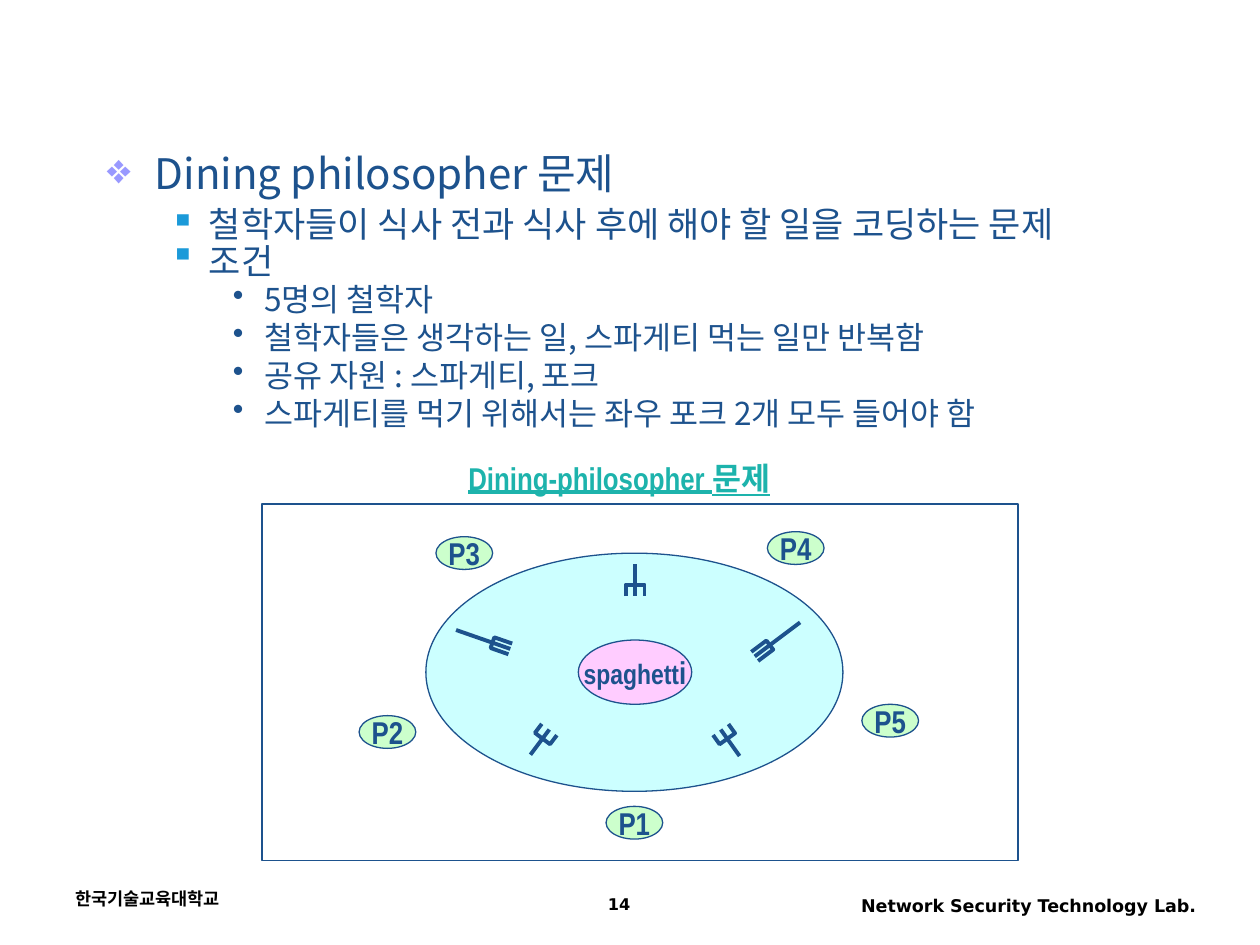
import math
from dataclasses import dataclass

import pptx
import pptx.dml.color
import pptx.enum.shapes
import pptx.enum.text
import pptx.oxml
import pptx.oxml.ns
import pptx.util

SHAPE = pptx.enum.shapes.MSO_SHAPE
ALIGN = pptx.enum.text.PP_ALIGN
ANCHOR = pptx.enum.text.MSO_ANCHOR


@dataclass(frozen=True)
class Theme:
    ink: str = "1D528D"
    black: str = "000000"
    paper: str = "FFFFFF"
    table: str = "CCFFFF"
    seat: str = "CCFFCC"
    plate: str = "FFCCFF"
    caption: str = "1DB3AC"
    body_font: str = "Noto Sans CJK KR"
    label_font: str = "Arial Narrow"
    footer_font: str = "DejaVu Sans"
    label_size: float = 18
    plate_size: float = 16
    footer_size: float = 10
    page_size: float = 9.2
    outline: float = 0.75
    fork_line: float = 2.25


@dataclass(frozen=True)
class Level:
    size: float
    bullet: str
    bullet_color: str
    indent: float
    hanging: float
    before: float


LEVELS = [
    Level(24, "❖", "9999FF", 0.38, 0.38, 6),
    Level(20, "▪", "1B9AD9", 0.81, 0.31, 5),
    Level(18, "•", "1D528D", 1.25, 0.25, 4.5),
]


class Slide:
    """Draws on a page divided into 10 columns and 7.5 rows."""

    COLUMNS, ROWS = 10, 7.5

    def __init__(self, deck, theme):
        self.theme = theme
        self.page = deck.slides.add_slide(deck.slide_layouts[6])
        self.column = deck.slide_width / self.COLUMNS
        self.row = deck.slide_height / self.ROWS

    def place(self, left, top, *size):
        values = (left, top, *size)
        return [round(value * (self.row if index % 2 else self.column))
                for index, value in enumerate(values)]

    def color(self, name):
        return pptx.dml.color.RGBColor.from_string(name)

    def style(self, span, size, font, color, bold=False, underline=None):
        span.font.size = pptx.util.Pt(size)
        span.font.name = font
        span.font.bold = bold
        span.font.underline = underline
        span.font.color.rgb = self.color(color)
        east = pptx.oxml.parse_xml(
            f'<a:ea {pptx.oxml.ns.nsdecls("a")} typeface="{self.theme.body_font}"/>')
        span.font._element.find(pptx.oxml.ns.qn("a:latin")).addnext(east)

    def footer(self, text, area, align, size):
        box = self.page.shapes.add_textbox(*self.place(*area))
        box.text_frame.word_wrap = True
        box.text_frame.text = text
        para = box.text_frame.paragraphs[0]
        para.alignment = align
        self.style(para.runs[0], size, self.theme.footer_font, self.theme.black, True)

    def outline(self, items, area):
        frame = self.page.shapes.add_textbox(*self.place(*area)).text_frame
        frame.word_wrap = True
        frame.text = "\n".join(text for _, _, text in items)
        for index, (para, (depth, spacing, _)) in enumerate(zip(frame.paragraphs, items)):
            level = LEVELS[depth]
            para.level = depth
            self.bullet(para, level)
            para.line_spacing = spacing
            if index:
                para.space_before = pptx.util.Pt(level.before)
            self.style(para.runs[0], level.size, self.theme.body_font, self.theme.ink)

    def bullet(self, para, level):
        properties = para._p.get_or_add_pPr()
        properties.set("marL", str(pptx.util.Inches(level.indent)))
        properties.set("indent", str(-pptx.util.Inches(level.hanging)))
        names = pptx.oxml.ns.nsdecls("a")
        for xml in (
            f'<a:buClr {names}><a:srgbClr val="{level.bullet_color}"/></a:buClr>',
            f'<a:buChar {names} char="{level.bullet}"/>',
        ):
            properties.append(pptx.oxml.parse_xml(xml))

    def shape(self, kind, area, fill=None):
        shape = self.page.shapes.add_shape(kind, *self.place(*area))
        shape.shadow.inherit = False
        if fill:
            shape.fill.solid()
            shape.fill.fore_color.rgb = self.color(fill)
            shape.line.color.rgb = self.color(self.theme.ink)
            shape.line.width = pptx.util.Pt(self.theme.outline)
        else:
            shape.fill.background()
            shape.line.fill.background()
        return shape

    def label(self, shape, spans, color, underline=None):
        frame = shape.text_frame
        frame.word_wrap = False
        frame.vertical_anchor = ANCHOR.MIDDLE
        para = frame.paragraphs[0]
        para.alignment = ALIGN.CENTER
        for text, size in spans:
            span = para.add_run()
            span.text = text
            self.style(span, size, self.theme.label_font, color, True, underline)

    def fork(self, tip, handle, depth, width):
        """A handle line and a U of prongs that opens towards the tip."""
        group = self.page.shapes.add_group_shape()
        line = group.shapes.add_connector(
            pptx.enum.shapes.MSO_CONNECTOR.STRAIGHT,
            *self.place(*tip), *self.place(*handle))
        line._element.spPr.append(
            pptx.oxml.parse_xml(f'<a:effectLst {pptx.oxml.ns.nsdecls("a")}/>'))

        length = math.dist(tip, handle)
        along_x, along_y = ((end - start) / length for start, end in zip(tip, handle))
        corners = [
            self.place(tip[0] + along_x * back - along_y * side,
                       tip[1] + along_y * back + along_x * side)
            for back, side in ((0, -width / 2), (depth, -width / 2),
                               (depth, width / 2), (0, width / 2))
        ]
        builder = group.shapes.build_freeform(*corners[0])
        builder.add_line_segments(corners[1:], close=False)
        prongs = builder.convert_to_shape()
        prongs.shadow.inherit = False
        prongs.fill.background()
        for part in (line, prongs):
            part.line.color.rgb = self.color(self.theme.ink)
            part.line.width = pptx.util.Pt(self.theme.fork_line)


OUTLINE = [
    (0, 0.9, "Dining philosopher 문제"),
    (1, 0.9, "철학자들이 식사 전과 식사 후에 해야 할 일을 코딩하는 문제"),
    (1, 0.6, "조건"),
    (2, 0.8, "5명의 철학자"),
    (2, 0.8, "철학자들은 생각하는 일, 스파게티 먹는 일만 반복함"),
    (2, 0.8, "공유 자원 : 스파게티, 포크"),
    (2, 0.8, "스파게티를 먹기 위해서는 좌우 포크 2개 모두 들어야 함"),
]
SEATS = {"P5": (6.84, 5.59), "P2": (2.85, 5.68), "P3": (3.46, 4.26),
         "P4": (6.09, 4.22), "P1": (4.81, 6.4)}
SEAT_SIZE = (0.45, 0.26)
LONG, SHORT = (0.15, 0.09), (0.09, 0.15)  # prong depth and width
FORKS = [
    ((4.05, 5.15), (3.62, 5), LONG),
    ((5.04, 4.73), (5.04, 4.48), SHORT),
    ((5.72, 5.79), (5.87, 6), SHORT),
    ((4.36, 5.79), (4.21, 5.99), SHORT),
    ((5.99, 5.21), (6.35, 4.94), LONG),
]


def main():
    deck = pptx.Presentation()
    deck.slide_width = pptx.util.Inches(10)
    deck.slide_height = pptx.util.Inches(7.5)
    theme = Theme()
    slide = Slide(deck, theme)

    # Footer
    slide.footer("한국기술교육대학교", (0.5, 7, 2.33, 0.33), ALIGN.LEFT, theme.footer_size)
    slide.footer("Network Security Technology Lab.", (6.42, 7.05, 3.17, 0.32),
                 ALIGN.RIGHT, theme.footer_size)
    slide.footer("14", (3.75, 7.05, 2.33, 0.28), ALIGN.CENTER, theme.page_size)

    # Problem statement
    slide.outline(OUTLINE, (0.75, 1.17, 8.5, 2.58))

    # Dining table
    slide.shape(SHAPE.RECTANGLE, (2.08, 4, 6, 2.83), theme.paper)
    slide.shape(SHAPE.OVAL, (3.38, 4.39, 3.31, 1.89), theme.table)
    plate = slide.shape(SHAPE.OVAL, (4.59, 5.08, 0.9, 0.51), theme.plate)
    slide.label(plate, [("spaghett", theme.plate_size), ("i", theme.label_size)], theme.ink)

    # Philosophers and forks
    for name, corner in SEATS.items():
        seat = slide.shape(SHAPE.OVAL, (*corner, *SEAT_SIZE), theme.seat)
        slide.label(seat, [(name, theme.label_size)], theme.ink)
    for tip, handle, prongs in FORKS:
        slide.fork(tip, handle, *prongs)

    # Caption
    caption = slide.shape(SHAPE.FLOWCHART_ALTERNATE_PROCESS, (3, 3.58, 3.83, 0.42))
    slide.label(caption, [("Dining-philosopher 문제", theme.label_size)],
                theme.caption, True)

    deck.save("out.pptx")


if __name__ == "__main__":
    main()
